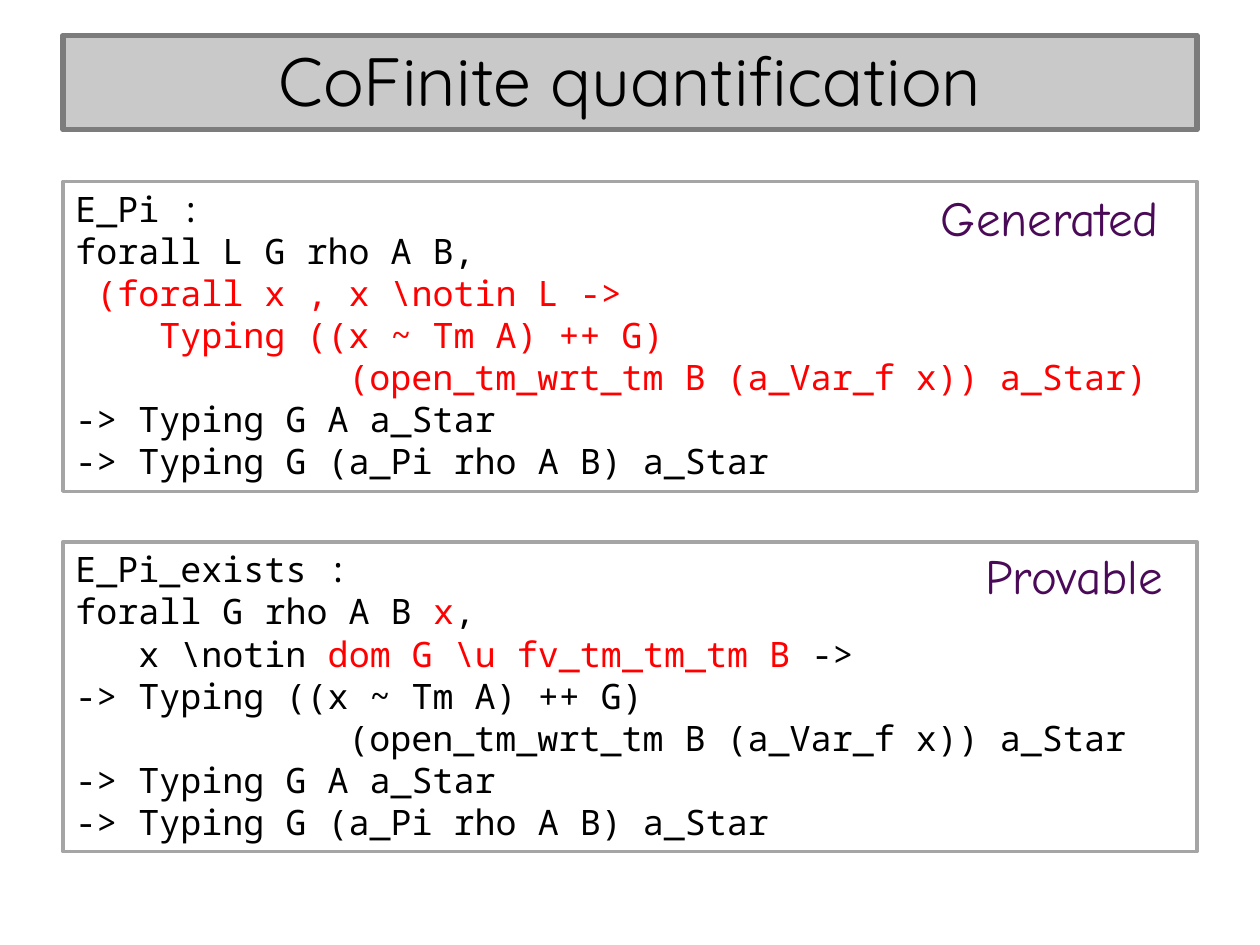
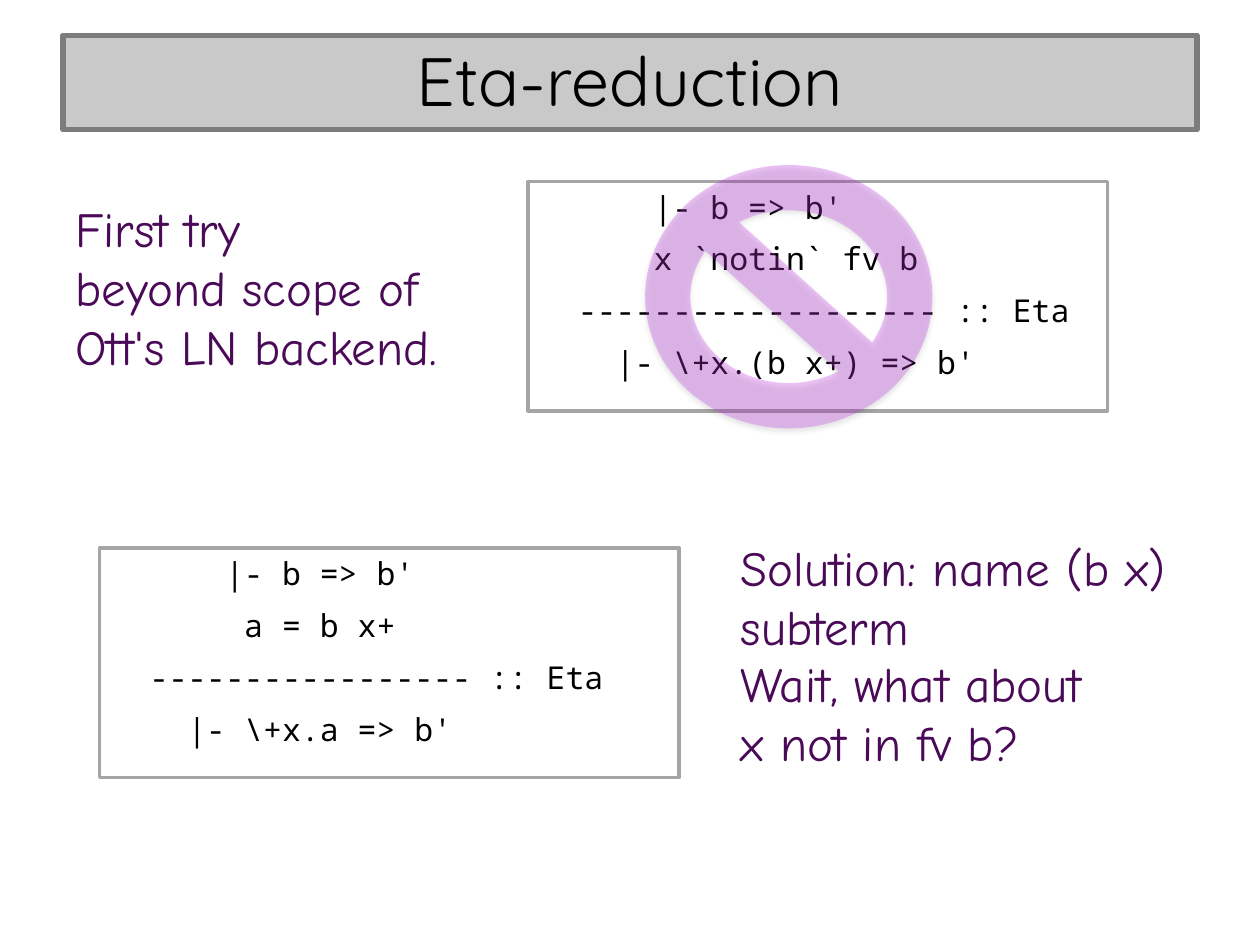
from lxml.etree import SubElement
from pptx import Presentation
from pptx.dml.color import RGBColor
from pptx.enum.shapes import MSO_SHAPE
from pptx.enum.text import MSO_ANCHOR, PP_ALIGN
from pptx.oxml.ns import qn
from pptx.util import Inches, Pt

COLORS = {
    "black": "000000", "white": "FFFFFF", "red": "FF0000",
    "band": "C9C9C9", "band_edge": "7C7C7C", "box_edge": "A5A5A5",
    "remark": "4A0A58", "ban": "C234E3",
}
TITLE_FONT, CODE_FONT, REMARK_FONT = "Quicksand", "Noto Sans Mono", "Comic Neue"
MONO_ADVANCE = 0.6  # character width of the code font, in ems
LEFT, TOP = 0.5, 1.44
RULE_BOX = (4.6, 1.82)

# Code lines: indent in columns, then runs as (text, colour)
GENERATED = [
    (0, ("E_Pi :", "black")),
    (0, ("forall L G rho A B,", "black")),
    (1, (r"(forall x , x \notin L ->", "red")),
    (4, ("Typing ((x ~ Tm A) ++ G)", "red")),
    (13, ("(open_tm_wrt_tm B (a_Var_f x)) a_Star)", "red")),
    (0, ("-> Typing G A a_Star", "black")),
    (0, ("-> Typing G (a_Pi rho A B) a_Star", "black")),
]
PROVABLE = [
    (0, ("E_Pi_exists :", "black")),
    (0, ("forall G rho A B ", "black"), ("x", "red"), (",", "black")),
    (3, (r"x \notin ", "black"), (r"dom G \u fv_tm_tm_tm B", "red"), (" ->", "black")),
    (0, ("-> Typing ((x ~ Tm A) ++ G)", "black")),
    (13, ("(open_tm_wrt_tm B (a_Var_f x)) a_Star", "black")),
    (0, ("-> Typing G A a_Star", "black")),
    (0, ("-> Typing G (a_Pi rho A B) a_Star", "black")),
]
FIRST_RULE = [
    (6, ("|- b => b'", "black")),
    (6, ("x `notin` fv b", "black")),
    (2, ("------------------- :: Eta", "black")),
    (4, (r"|- \+x.(b x+) => b'", "black")),
]
NAMED_RULE = [
    (6, ("|- b => b'", "black")),
    (7, ("a = b x+", "black")),
    (2, ("----------------- :: Eta", "black")),
    (4, (r"|- \+x.a => b'", "black")),
]


def rgb(name):
    return RGBColor.from_string(COLORS[name])


def add_run(paragraph, text, font, size, color):
    run = paragraph.add_run()
    run.text = text
    run.font.name = font
    run.font.size = Pt(size)
    run.font.color.rgb = rgb(color)


def paragraphs(frame, lines):
    """Pair each line with a paragraph, using the frame's first one."""
    for number, line in enumerate(lines):
        yield (frame.add_paragraph() if number else frame.paragraphs[0]), line


def add_panel(slide, left, top, width, height, fill, edge, edge_width):
    panel = slide.shapes.add_shape(MSO_SHAPE.RECTANGLE, Inches(left), Inches(top),
                                   Inches(width), Inches(height))
    panel.shadow.inherit = False
    panel.fill.solid()
    panel.fill.fore_color.rgb = rgb(fill)
    panel.line.color.rgb = rgb(edge)
    panel.line.width = Pt(edge_width)
    panel.text_frame.word_wrap = True
    return panel.text_frame


def add_title(slide, text):
    frame = add_panel(slide, LEFT, 0.28, 9, 0.75, "band", "band_edge", 3)
    frame.vertical_anchor = MSO_ANCHOR.MIDDLE
    frame.margin_bottom = Inches(0.1)
    heading = frame.paragraphs[0]
    heading.alignment = PP_ALIGN.CENTER
    add_run(heading, text, TITLE_FONT, 39, "black")


def add_code(slide, left, top, width, height, lines, size, space_before=0):
    frame = add_panel(slide, left, top, width, height, "white", "box_edge", 2)
    frame.vertical_anchor = MSO_ANCHOR.TOP
    for paragraph, (column, *runs) in paragraphs(frame, lines):
        paragraph.alignment = PP_ALIGN.LEFT
        paragraph.space_before = Pt(space_before)
        properties = paragraph._p.get_or_add_pPr()
        properties.set("marL", str(Pt(column * size * MONO_ADVANCE)))
        properties.set("indent", "0")
        for text, color in runs:
            add_run(paragraph, text, CODE_FONT, size, color)


def add_remark(slide, left, top, width, height, *lines):
    frame = slide.shapes.add_textbox(Inches(left), Inches(top), Inches(width),
                                     Inches(height)).text_frame
    frame.word_wrap = False
    for paragraph, line in paragraphs(frame, lines):
        paragraph.alignment = PP_ALIGN.LEFT
        add_run(paragraph, line, REMARK_FONT, 28, "remark")


def add_ban_sign(slide, left, top, width, height):
    sign = slide.shapes.add_shape(MSO_SHAPE.NO_SYMBOL, Inches(left), Inches(top),
                                  Inches(width), Inches(height))
    sign.adjustments[0] = 0.172
    sign.line.fill.background()
    sign.fill.solid()
    sign.fill.fore_color.rgb = rgb("ban")
    fill_color = sign.fill._xPr.find(qn("a:solidFill"))[0]
    SubElement(fill_color, qn("a:alpha"), val="29000")
    # Soft shadow straight below
    sign.shadow.inherit = False
    effects = sign._element.spPr.find(qn("a:effectLst"))
    shadow = SubElement(effects, qn("a:outerShdw"), blurRad=str(Pt(3.1)),
                        dist=str(Pt(1.8)), dir="5400000", rotWithShape="0")
    shadow_color = SubElement(shadow, qn("a:srgbClr"), val=COLORS["black"])
    SubElement(shadow_color, qn("a:alpha"), val="35000")


def add_slide(deck, title):
    slide = deck.slides.add_slide(deck.slide_layouts[6])
    add_title(slide, title)
    return slide


def main():
    deck = Presentation()
    deck.slide_width, deck.slide_height = Inches(10), Inches(7.5)

    # Generated and provable typing rules
    cofinite = add_slide(deck, "CoFinite quantification")
    add_code(cofinite, LEFT, TOP, 9, 2.46, GENERATED, 20)
    add_code(cofinite, LEFT, 4.3, 9, 2.46, PROVABLE, 20)
    add_remark(cofinite, 7.72, 4.28, 1.78, 0.57, "Provable")
    add_remark(cofinite, 7.37, TOP, 2, 0.57, "Generated")

    # Rejected eta rule above, working one below
    eta = add_slide(deck, "Eta-reduction")
    add_code(eta, 0.79, 4.35, *RULE_BOX, NAMED_RULE, 18, 8)
    add_code(eta, 4.19, TOP, *RULE_BOX, FIRST_RULE, 18, 8)
    add_ban_sign(eta, 5.12, 1.31, 2.28, 2.09)
    add_remark(eta, LEFT, 1.53, 3.33, 1.51,
               "First try", "beyond scope of", "Ott's LN backend.")
    add_remark(eta, 5.78, 4.22, 3.91, 1.04, "Solution: name (b x)", "subterm")
    add_remark(eta, 5.78, 5.14, 3.22, 1.04, "Wait, what about", "x not in fv b?")

    deck.save("out.pptx")


if __name__ == "__main__":
    main()
